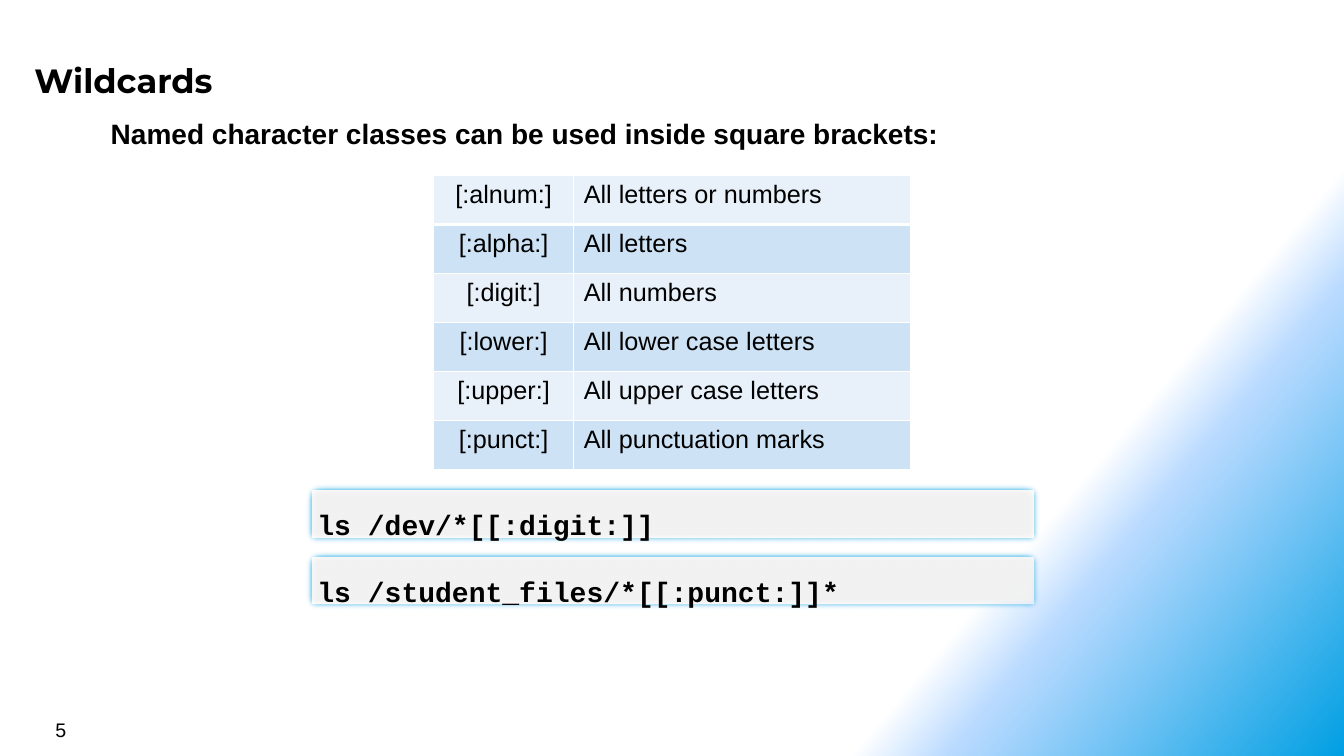
from lxml import etree
from pptx import Presentation
from pptx import util as u
from pptx.dml.color import RGBColor
from pptx.enum import shapes, text
from pptx.oxml import ns

presentation = Presentation()
presentation.slide_width = u.Inches(13.33)
presentation.slide_height = u.Inches(7.5)
slide = presentation.slides.add_slide(presentation.slide_layouts[6])
column = presentation.slide_width / 100
row = presentation.slide_height / 100


def color(value):
    return RGBColor.from_string(value)


def write(frame, wording, size, name="Arial", bold=False, **layout):
    frame.word_wrap = True
    paragraph = frame.paragraphs[0]
    paragraph.text = wording
    for key, value in {"alignment": text.PP_ALIGN.LEFT, **layout}.items():
        setattr(paragraph, key, value)
    for key, value in {"size": u.Pt(size), "name": name, "bold": bold}.items():
        setattr(paragraph.font, key, value)
    paragraph.font.color.rgb = color("000000")


background = slide.background.fill
background.gradient()
background.gradient_angle = 320
stops = slide.element.find(".//" + ns.qn("a:gsLst"))
stops.clear()
for position, value, opacity in [(75, "FFFFFF", 100), (80, "B9DAFF", 50), (100, "009FE3", 100)]:
    stop = etree.SubElement(stops, ns.qn("a:gs"), pos=str(position * 1000))
    shade = etree.SubElement(stop, ns.qn("a:srgbClr"), val=value)
    if opacity < 100:
        etree.SubElement(shade, ns.qn("a:alpha"), val=str(opacity * 1000))

labels = [
    (7.5, 14.8, 85, 7.33, "Named character classes can be used inside square brackets:",
     {"size": 20, "bold": True, "space_after": u.Pt(12)}, {}),
    (1.95, 6.8, 91.97, 7.33, "Wildcards", {"size": 24, "name": "Montserrat", "bold": True},
     dict.fromkeys(["margin_left", "margin_top", "margin_right", "margin_bottom"], u.Inches(0.08))),
    (3.38, 94.27, 23.33, 4.4, "5", {"size": 14}, {}),
]
for left, top, width, height, wording, style, margins in labels:
    box = slide.shapes.add_textbox(
        int(left * column), int(top * row), int(width * column), int(height * row))
    for key, value in margins.items():
        setattr(box.text_frame, key, value)
    write(box.text_frame, wording, **style)

classes = [
    ("[:alnum:]", "All letters or numbers"),
    ("[:alpha:]", "All letters"),
    ("[:digit:]", "All numbers"),
    ("[:lower:]", "All lower case letters"),
    ("[:upper:]", "All upper case letters"),
    ("[:punct:]", "All punctuation marks"),
]
widths = [10.43, 25.06]
row_height = 6.48
table = slide.shapes.add_table(
    len(classes), len(widths), int(32.26 * column), int(23.2 * row),
    int(sum(widths) * column), int(row_height * len(classes) * row)).table
for table_column, width in zip(table.columns, widths):
    table_column.width = int(width * column)
alignments = [text.PP_ALIGN.CENTER, text.PP_ALIGN.LEFT]
for row_index, entries in enumerate(classes):
    table.rows[row_index].height = int(row_height * row)
    for column_index, wording in enumerate(entries):
        cell = table.cell(row_index, column_index)
        write(cell.text_frame, wording, 18, alignment=alignments[column_index])
        properties = cell._tc.get_or_add_tcPr()
        for side in ["lnL", "lnR", "lnT", "lnB"]:
            weight = 3 if side == "lnB" and row_index == 0 else 1
            border = etree.SubElement(properties, ns.qn("a:" + side), w=str(u.Pt(weight)))
            paint = etree.SubElement(border, ns.qn("a:solidFill"))
            etree.SubElement(paint, ns.qn("a:srgbClr"), val="FFFFFF")
        cell.fill.solid()
        cell.fill.fore_color.rgb = color(["E8F1FA", "CDE2F4"][row_index % 2])

commands = ["ls /dev/*[[:digit:]]", "ls /student_files/*[[:punct:]]*"]
for index, command in enumerate(commands):
    shape = slide.shapes.add_shape(
        shapes.MSO_SHAPE.RECTANGLE, int(22.88 * column), int((64.27 + 8.8 * index) * row),
        int(54.31 * column), int(7.33 * row))
    shape.shadow.inherit = False
    shape.fill.solid()
    shape.fill.fore_color.rgb = color("F2F2F2")
    shape.line.color.rgb = color("009FE3")
    shape.line.width = u.Pt(6)
    effects = shape.element.spPr.find(ns.qn("a:effectLst"))
    etree.SubElement(effects, ns.qn("a:softEdge"), rad=str(u.Pt(5)))
    write(shape.text_frame, command, 20, "Courier New", True, line_spacing=1.5)
    frame_format = {"vertical_anchor": text.MSO_ANCHOR.TOP,
                    "auto_size": text.MSO_AUTO_SIZE.SHAPE_TO_FIT_TEXT}
    for key, value in frame_format.items():
        setattr(shape.text_frame, key, value)

presentation.save("out.pptx")
